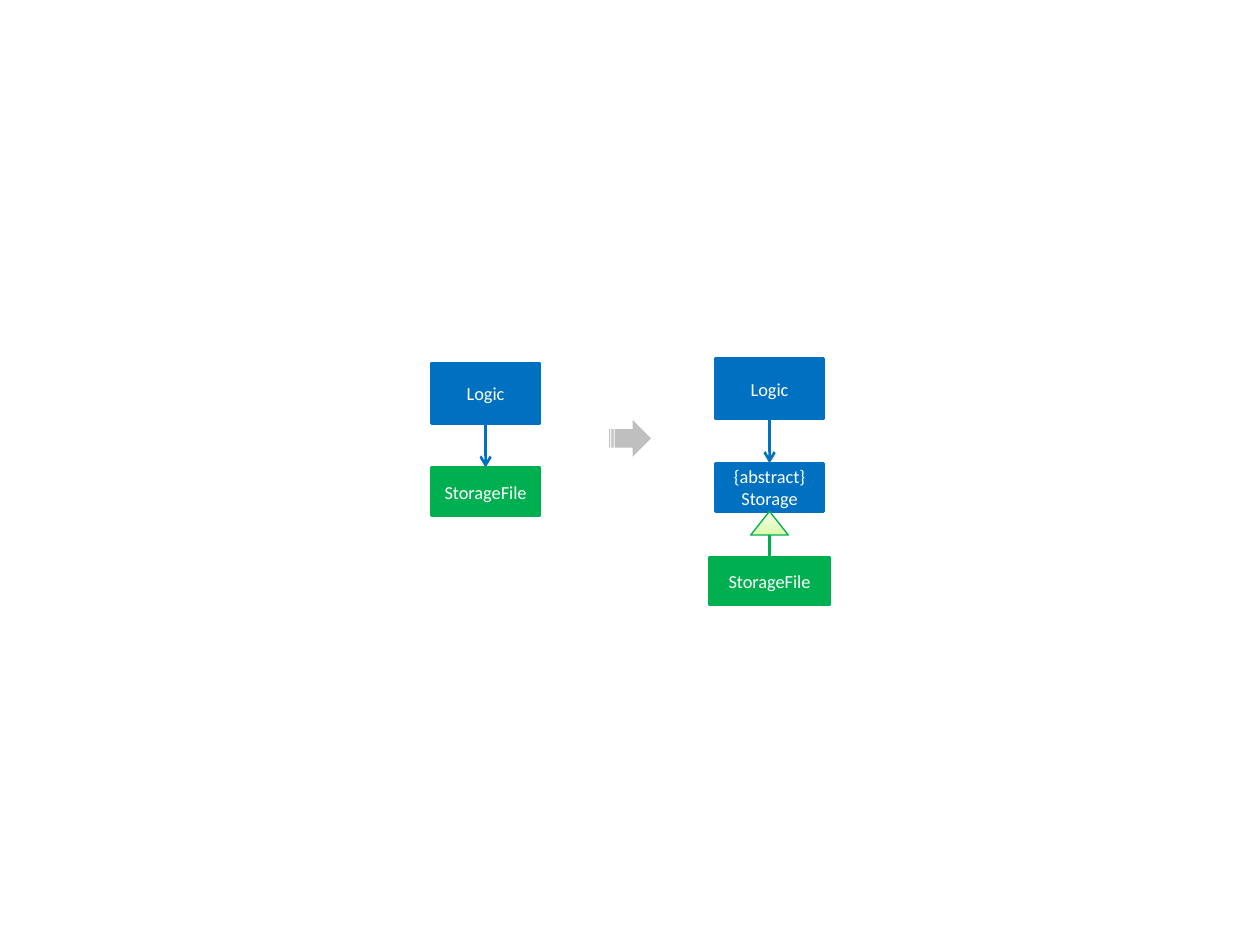
import pptx
import pptx.util
import pptx.dml.color
import pptx.enum.shapes
import pptx.enum.text
import pptx.oxml
import pptx.oxml.ns
import lxml.etree

Pt = pptx.util.Pt
Color = pptx.dml.color.RGBColor
Kind = pptx.enum.shapes.MSO_SHAPE
qn = pptx.oxml.ns.qn

BLUE = Color(0x00, 0x70, 0xC0)
GREEN = Color(0x00, 0xB0, 0x50)
GRAY = Color(0xBF, 0xBF, 0xBF)
WHITE = Color(0xFF, 0xFF, 0xFF)
STOPS = [(0, Color(0xDA, 0xFD, 0xA7)), (35, Color(0xE4, 0xFC, 0xC2)),
         (100, Color(0xF5, 0xFF, 0xE7))]
WIDE, TALL, LOW = 62, 34.5, 27.5


def form(slide, kind, x, y, w, h):
    """Add a preset shape without a shadow."""
    shape = slide.shapes.add_shape(kind, Pt(x), Pt(y), Pt(w), Pt(h))
    shape.shadow.inherit = False
    return shape


def node(slide, text, mid, y, w, h, color):
    """Draw a labelled class box centred on mid."""
    box = form(slide, Kind.RECTANGLE, mid - w / 2, y, w, h)
    box.fill.solid()
    box.fill.fore_color.rgb = color
    box.line.color.rgb = color
    box.line.width = Pt(1.5)
    frame = box.text_frame
    frame.margin_left = frame.margin_right = 0
    frame.margin_top = frame.margin_bottom = 0
    frame.word_wrap = True
    frame.vertical_anchor = pptx.enum.text.MSO_ANCHOR.MIDDLE
    frame.text = text
    para = frame.paragraphs[0]
    para.alignment = pptx.enum.text.PP_ALIGN.CENTER
    for run in para.runs:
        run.font.name = "Calibri"
        run.font.size = Pt(10.5)
        run.font.color.rgb = WHITE


def link(slide, x, top, end, color, head=False):
    """Draw a vertical line, with an open arrowhead if asked."""
    line = slide.shapes.add_connector(
        pptx.enum.shapes.MSO_CONNECTOR.STRAIGHT, Pt(x), Pt(top), Pt(x), Pt(end))
    line.line.color.rgb = color
    line.line.width = Pt(1.5)
    if head:
        tail = lxml.etree.SubElement(line.line._get_or_add_ln(), qn("a:tailEnd"))
        tail.set("type", "arrow")
    lxml.etree.SubElement(line._element.spPr, qn("a:effectLst"))


def parent(slide, mid, y, w, h):
    """Draw the inheritance triangle with its tip at mid, y."""
    tip = form(slide, Kind.ISOSCELES_TRIANGLE, mid - w / 2, y, w, h)
    tip.fill.gradient()
    tip.fill.gradient_angle = 90
    stops = tip._element.spPr.find(qn("a:gradFill")).find(qn("a:gsLst"))
    for old in list(stops):
        stops.remove(old)
    for pos, color in STOPS:
        stop = lxml.etree.SubElement(stops, qn("a:gs"), pos=str(pos * 1000))
        lxml.etree.SubElement(stop, qn("a:srgbClr"), val=str(color))
    tip.line.color.rgb = GREEN
    tip.line.width = Pt(0.75)


def pair(slide, mid, y, text, color):
    """Draw Logic pointing at a lower box; return the bottom edge."""
    low = y + 59.75
    node(slide, text, mid, low, WIDE, LOW, color)
    link(slide, mid, y + TALL, low, BLUE, True)
    node(slide, "Logic", mid, y, WIDE, TALL, BLUE)
    return low + LOW


def before(slide, mid, y):
    """Draw the direct dependency."""
    pair(slide, mid, y, "StorageFile", GREEN)


def after(slide, mid, y):
    """Draw the dependency on an abstract parent class."""
    end = pair(slide, mid, y, "{abstract}\vStorage", BLUE)
    base = end + 13.5
    node(slide, "StorageFile", mid, end + 26, 68.5, LOW, GREEN)
    parent(slide, mid, end, 21.5, 13.5)
    link(slide, mid, base, end + 26, GREEN)


def change(slide, x, y, w, h):
    """Draw the gray arrow between the two designs."""
    arrow = form(slide, Kind.STRIPED_RIGHT_ARROW, x, y, w, h)
    arrow.fill.solid()
    arrow.fill.fore_color.rgb = GRAY
    arrow.line.fill.background()


deck = pptx.Presentation()
deck.slide_width, deck.slide_height = Pt(720), Pt(540)
page = deck.slides.add_slide(deck.slide_layouts[6])
before(page, 277.5, 207.5)
after(page, 439.75, 205)
change(page, 348, 240, 24, 21)
deck.save("out.pptx")
